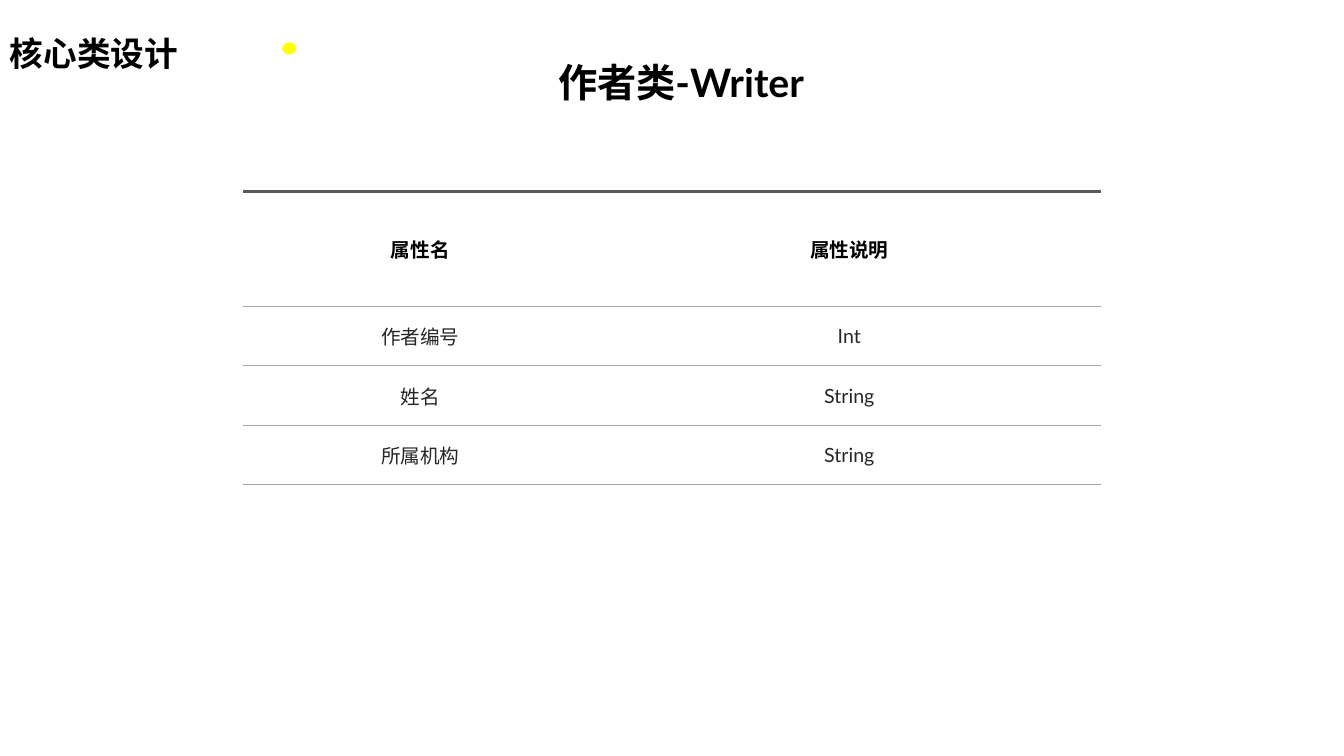
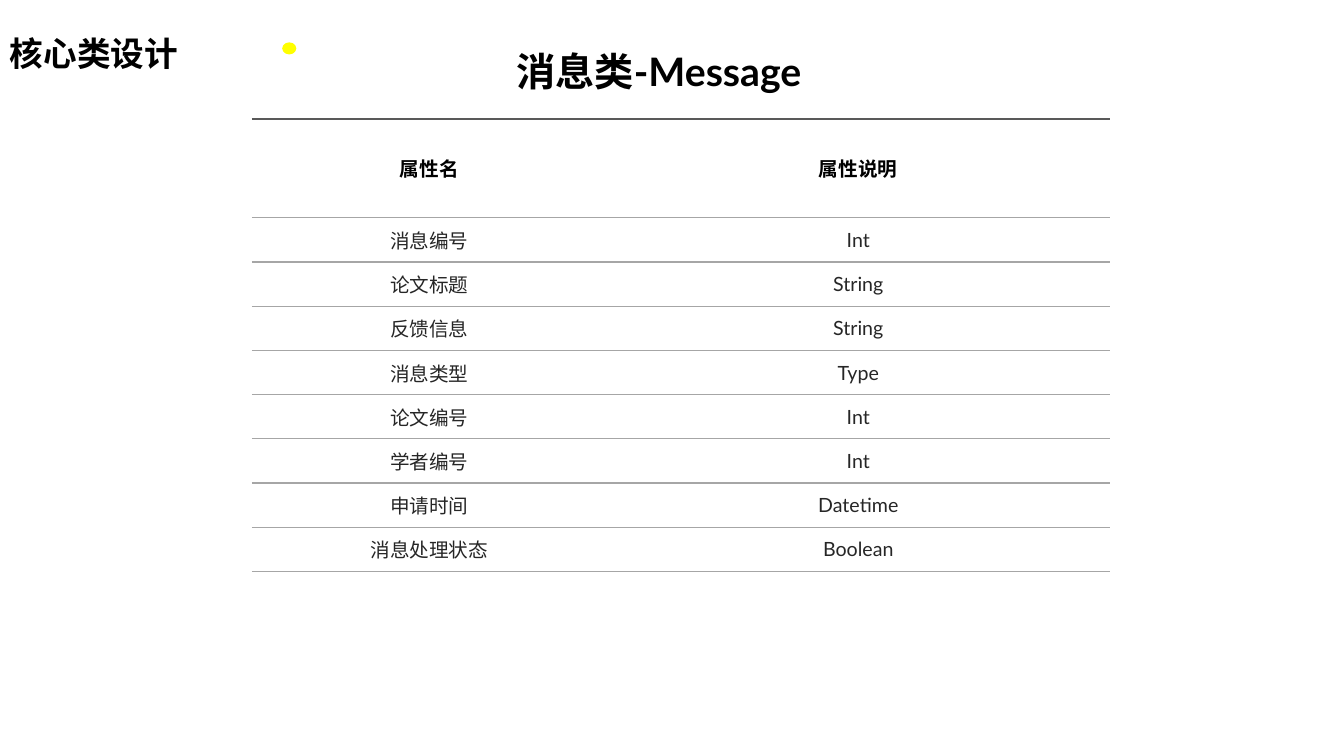
import dataclasses

import lxml.etree
import pptx
import pptx.dml.color
import pptx.enum.shapes
import pptx.enum.text
import pptx.oxml.ns
import pptx.util

qn = pptx.oxml.ns.qn
Align = pptx.enum.text.PP_ALIGN
Anchor = pptx.enum.text.MSO_ANCHOR


@dataclasses.dataclass(frozen=True)
class Theme:
    font: str = "Lato"
    ink: str = "000000"
    body: str = "262626"
    accent: str = "FFFF00"
    top_rule: str = "595959"
    row_rule: str = "A6A6A6"
    section_size: int = 24
    title_size: int = 28
    table_size: int = 14
    top_rule_width: float = 2.25
    row_rule_width: float = 1
    plain_table_style: str = "{2D5ABB26-0587-4C30-8999-92F81FD0307C}"


THEME = Theme()
SLIDE_WIDTH = pptx.util.Inches(13.33)
SLIDE_HEIGHT = pptx.util.Inches(7.5)

# Shared layout, in percent of the slide's width and height
SECTION_BOX = (0, 3.73, 14.1, 6.67)
DOT_BOX = (21, 5.6, 1.05, 1.6)
TITLE_HEIGHT = 7.6
COLUMN_WIDTHS = (26.4, 37.43)
HEADINGS = ("属性名", "属性说明")


def across(percent):
    return round(SLIDE_WIDTH * percent / 100)


def down(percent):
    return round(SLIDE_HEIGHT * percent / 100)


def place(left, top, width, height):
    return across(left), down(top), across(width), down(height)


def write(frame, text, size, color=THEME.ink, bold=True, align=Align.CENTER):
    paragraph = frame.paragraphs[0]
    paragraph.text = text
    paragraph.alignment = align
    font = paragraph.font
    font.name, font.size, font.bold = THEME.font, pptx.util.Pt(size), bold
    font.color.rgb = pptx.dml.color.RGBColor.from_string(color)


def add_text(shapes, box, text, size, wrap=True, align=Align.CENTER):
    frame = shapes.add_textbox(*place(*box)).text_frame
    frame.word_wrap = wrap
    frame.auto_size = pptx.enum.text.MSO_AUTO_SIZE.SHAPE_TO_FIT_TEXT
    write(frame, text, size, align=align)


def add_section_mark(slide):
    """Section name with its accent dot."""
    shapes = slide.shapes.add_group_shape().shapes
    add_text(shapes, SECTION_BOX, "核心类设计", THEME.section_size,
             wrap=False, align=Align.LEFT)
    dot = shapes.add_shape(pptx.enum.shapes.MSO_SHAPE.OVAL, *place(*DOT_BOX))
    dot.shadow.inherit = False
    dot.fill.solid()
    dot.fill.fore_color.rgb = pptx.dml.color.RGBColor.from_string(THEME.accent)
    dot.line.fill.background()


def add_rule(cell, side, color, width):
    properties = cell._tc.get_or_add_tcPr()
    line = lxml.etree.SubElement(properties, qn(f"a:ln{side}"),
                                 w=str(pptx.util.Pt(width)))
    fill = lxml.etree.SubElement(line, qn("a:solidFill"))
    lxml.etree.SubElement(fill, qn("a:srgbClr"), val=color)


def fill_cell(cell, text, is_heading):
    write(cell.text_frame, text, THEME.table_size,
          THEME.ink if is_heading else THEME.body, is_heading)
    cell.vertical_anchor = Anchor.MIDDLE
    # Rules above and below, no fill
    if is_heading:
        add_rule(cell, "T", THEME.top_rule, THEME.top_rule_width)
    else:
        add_rule(cell, "T", THEME.row_rule, THEME.row_rule_width)
    add_rule(cell, "B", THEME.row_rule, THEME.row_rule_width)
    cell.fill.background()


def add_attribute_table(slide, left, top, heading_height, row_height, attributes):
    rows = [HEADINGS, *attributes]
    box = (left, top, sum(COLUMN_WIDTHS),
           heading_height + row_height * len(attributes))
    table = slide.shapes.add_table(len(rows), len(HEADINGS), *place(*box)).table
    table.first_row = table.horz_banding = False
    table._tbl.tblPr.find(qn("a:tableStyleId")).text = THEME.plain_table_style
    for column, width in zip(table.columns, COLUMN_WIDTHS):
        column.width = across(width)
    for index, texts in enumerate(rows):
        table.rows[index].height = down(row_height if index else heading_height)
        for column, text in enumerate(texts):
            fill_cell(table.cell(index, column), text, index == 0)


def add_class_slide(presentation, title, title_place, table_place, attributes):
    slide = presentation.slides.add_slide(presentation.slide_layouts[6])
    add_attribute_table(slide, *table_place, attributes)
    add_section_mark(slide)
    add_text(slide.shapes, (*title_place, TITLE_HEIGHT), title, THEME.title_size)


def main():
    presentation = pptx.Presentation()
    presentation.slide_width = SLIDE_WIDTH
    presentation.slide_height = SLIDE_HEIGHT

    # Title: left, top, width; table: left, top, heading height, row height
    add_class_slide(
        presentation, "作者类-Writer",
        (28.5, 7.07, 44.33), (18.08, 25.33, 15.2, 7.87),
        [("作者编号", "Int"), ("姓名", "String"), ("所属机构", "String")])
    add_class_slide(
        presentation, "消息类-Message",
        (34.28, 5.6, 29.48), (18.75, 15.73, 13.07, 5.85),
        [("消息编号", "Int"), ("论文标题", "String"), ("反馈信息", "String"),
         ("消息类型", "Type"), ("论文编号", "Int"), ("学者编号", "Int"),
         ("申请时间", "Datetime"), ("消息处理状态", "Boolean")])
    presentation.save("out.pptx")


if __name__ == "__main__":
    main()
